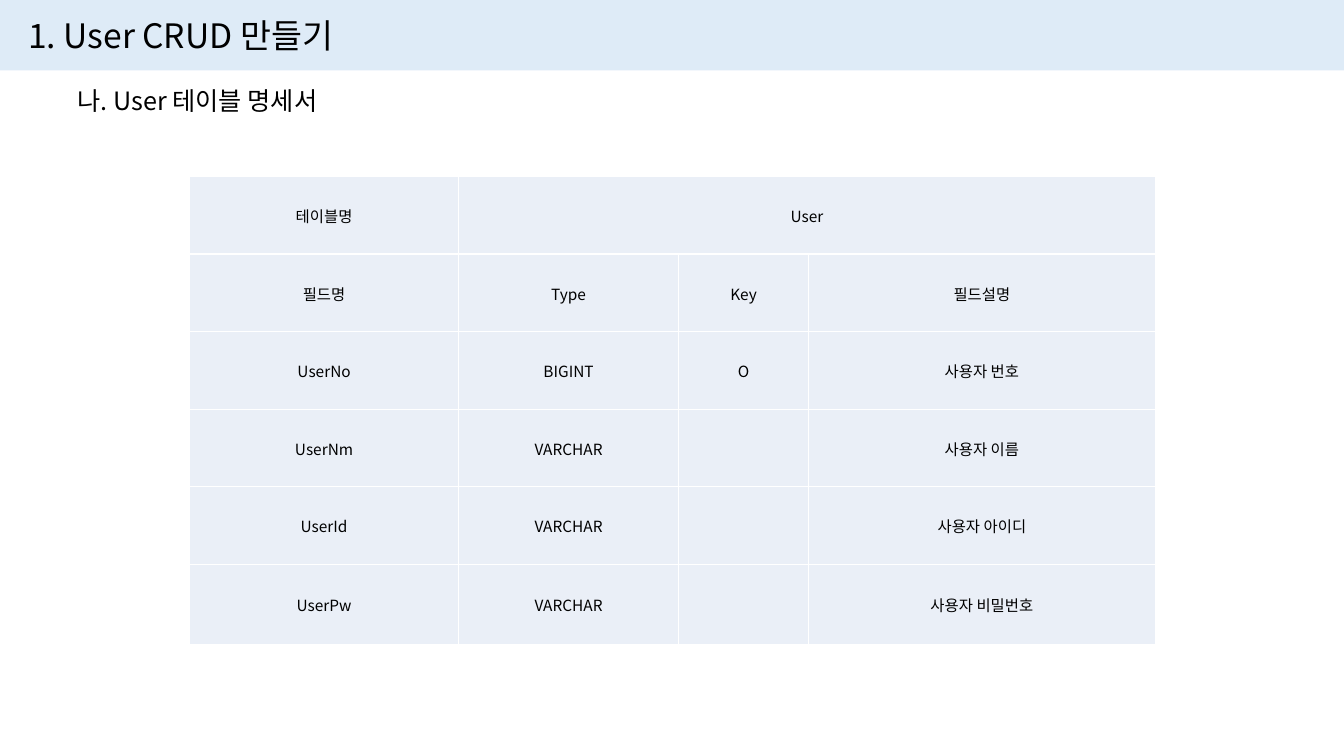
from typing import NamedTuple

from lxml.etree import SubElement
from pptx import Presentation
from pptx.dml.color import RGBColor
from pptx.enum.shapes import MSO_SHAPE
from pptx.enum.text import MSO_ANCHOR, MSO_AUTO_SIZE, PP_ALIGN
from pptx.oxml.ns import qn
from pptx.util import Inches, Pt

FONT = "Noto Sans CJK KR"
BLACK, WHITE, BAND, CELL = "000000", "FFFFFF", "DEEBF7", "EAEFF7"


class Heading(NamedTuple):
    text: str
    left: float
    top: float
    width: float
    height: float
    size: int


HEADINGS = [
    Heading("1. User CRUD 만들기", 0.18, 0.1, 3.41, 0.5, 24),
    Heading("나. User 테이블 명세서", 0.67, 0.8, 2.8, 0.4, 18),
]
COLUMN_WIDTHS = [2.67, 2.18, 1.29, 3.44]
ROW_HEIGHTS = [0.77] * 5 + [0.8]
ROWS = [
    ["테이블명", "User", "", ""],
    ["필드명", "Type", "Key", "필드설명"],
    ["UserNo", "BIGINT", "O", "사용자 번호"],
    ["UserNm", "VARCHAR", "", "사용자 이름"],
    ["UserId", "VARCHAR", "", "사용자 아이디"],
    ["UserPw", "VARCHAR", "", "사용자 비밀번호"],
]


def rgb(color: str) -> RGBColor:
    return RGBColor.from_string(color)


def set_text(tf, text: str, size: int) -> None:
    tf.text = text
    for r in tf.paragraphs[0].runs:
        r.font.size = Pt(size)
        r.font.name = FONT
        r.font.color.rgb = rgb(BLACK)
        SubElement(r.font._element, qn("a:ea"), typeface=FONT)


def add_heading(s, heading: Heading) -> None:
    box = s.shapes.add_textbox(Inches(heading.left), Inches(heading.top),
                               Inches(heading.width), Inches(heading.height))
    tf = box.text_frame
    tf.word_wrap = False
    tf.auto_size = MSO_AUTO_SIZE.SHAPE_TO_FIT_TEXT
    set_text(tf, heading.text, heading.size)


def add_borders(cell) -> None:
    tc_pr = cell._tc.get_or_add_tcPr()
    for side in ("lnL", "lnR", "lnT", "lnB"):
        line = SubElement(tc_pr, qn(f"a:{side}"), w=str(Pt(1)))
        fill = SubElement(line, qn("a:solidFill"))
        SubElement(fill, qn("a:srgbClr"), val=WHITE)


def format_cell(cell, text: str) -> None:
    add_borders(cell)
    cell.fill.solid()
    cell.fill.fore_color.rgb = rgb(CELL)
    cell.vertical_anchor = MSO_ANCHOR.MIDDLE
    cell.margin_left = cell.margin_right = cell.margin_top = Inches(0.01)
    cell.margin_bottom = 0
    set_text(cell.text_frame, text, 11)
    cell.text_frame.paragraphs[0].alignment = PP_ALIGN.CENTER


def add_user_table(s) -> None:
    table = s.shapes.add_table(
        len(ROWS), len(COLUMN_WIDTHS), Inches(1.88), Inches(1.75),
        Inches(sum(COLUMN_WIDTHS)), Inches(sum(ROW_HEIGHTS))).table
    table.first_row = table.horz_banding = False
    for column, width in zip(table.columns, COLUMN_WIDTHS):
        column.width = Inches(width)
    for row, height, texts in zip(table.rows, ROW_HEIGHTS, ROWS):
        row.height = Inches(height)
        for cell, text in zip(row.cells, texts):
            format_cell(cell, text)
    table.cell(0, 1).merge(table.cell(0, 3))


prs = Presentation()
prs.slide_width, prs.slide_height = Inches(13.33), Inches(7.5)
s = prs.slides.add_slide(prs.slide_layouts[6])

band = s.shapes.add_shape(MSO_SHAPE.RECTANGLE, 0, 0, prs.slide_width, Inches(0.7))
band.shadow.inherit = False
band.fill.solid()
band.fill.fore_color.rgb = rgb(BAND)
band.line.fill.background()

for heading in HEADINGS:
    add_heading(s, heading)
add_user_table(s)

prs.save("out.pptx")
